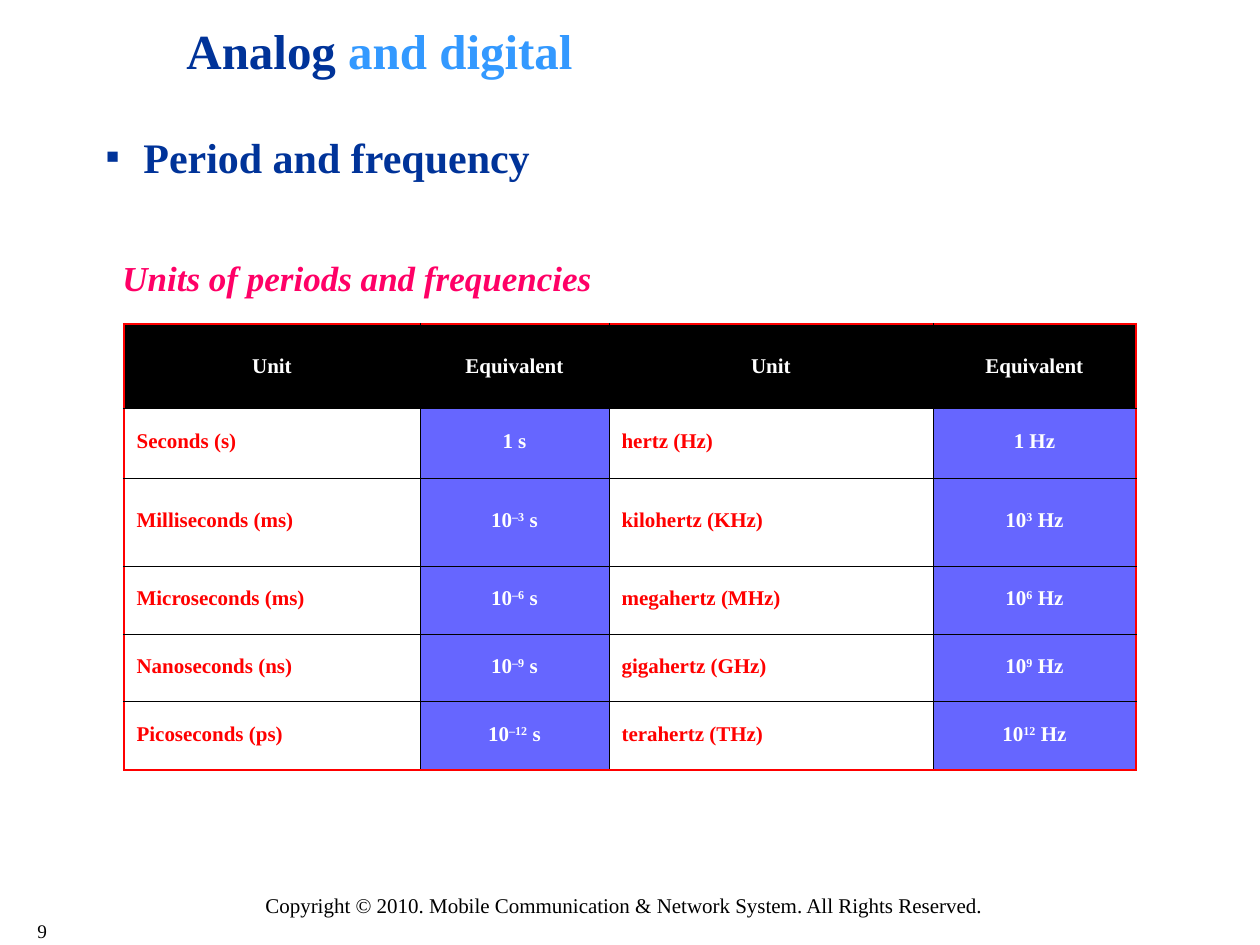
from lxml.etree import SubElement
from pptx import Presentation
from pptx.dml.color import RGBColor
from pptx.enum.text import MSO_ANCHOR as Anchor, PP_ALIGN as Align
from pptx.oxml.ns import qn
from pptx.util import Emu, Pt

NAVY = RGBColor(0x00, 0x33, 0x99)
SKY = RGBColor(0x33, 0x99, 0xFF)
PINK = RGBColor(0xFF, 0x00, 0x66)
RED = RGBColor(0xFF, 0x00, 0x00)
VIOLET = RGBColor(0x66, 0x66, 0xFF)
BLACK = RGBColor(0x00, 0x00, 0x00)
WHITE = RGBColor(0xFF, 0xFF, 0xFF)

FONT = "Times New Roman"
COLUMN_WIDTHS = [296, 189, 324, 203]
ROW_HEIGHTS = [84, 70, 88, 68, 68, 68]
UNITS = [
    ["Unit", "Equivalent", "Unit", "Equivalent"],
    ["Seconds (s)", "1 s", "hertz (Hz)", "1 Hz"],
    ["Milliseconds (ms)", "10^–3^ s", "kilohertz (KHz)", "10^3^ Hz"],
    ["Microseconds (ms)", "10^–6^ s", "megahertz (MHz)", "10^6^ Hz"],
    ["Nanoseconds (ns)", "10^–9^ s", "gigahertz (GHz)", "10^9^ Hz"],
    ["Picoseconds (ps)", "10^–12^ s", "terahertz (THz)", "10^12^ Hz"],
]


def px(length):
    """Turn pixels into EMU at 126 pixels to the inch."""
    return Emu(round(length * 914400 / 126))


def write(paragraph, text, size=12, color=BLACK, bold=False, italic=False):
    """Add text to a paragraph, raising what stands between carets."""
    for index, part in enumerate(text.split("^")):
        run = paragraph.add_run()
        run.text = part
        font = run.font
        font.name, font.size = FONT, Pt(size)
        font.bold, font.italic = bold, italic
        font.color.rgb = color
        if index % 2:
            run._r.get_or_add_rPr().set("baseline", "30000")


def add_text_box(slide, left, top, width, height, anchor=Anchor.TOP, wrap=True):
    """Add an empty text box and return its first paragraph."""
    frame = slide.shapes.add_textbox(px(left), px(top), px(width), px(height)).text_frame
    frame.word_wrap = wrap
    frame.vertical_anchor = anchor
    return frame.paragraphs[0]


def add_bullet(paragraph, indent, color):
    """Give a paragraph a half-size square bullet with a hanging indent."""
    properties = paragraph._p.get_or_add_pPr()
    properties.set("marL", str(px(indent)))
    properties.set("indent", str(-px(indent)))
    tint = SubElement(properties, qn("a:buClr"))
    SubElement(tint, qn("a:srgbClr"), val=str(color))
    SubElement(properties, qn("a:buSzPct"), val="50000")
    SubElement(properties, qn("a:buFont"), typeface=FONT)
    SubElement(properties, qn("a:buChar"), char="■")


def set_borders(cell, outer_sides):
    """Draw thick red lines on the outer sides and thin black ones elsewhere."""
    properties = cell._tc.get_or_add_tcPr()
    for side in "LRTB":
        color, width = (RED, 1.47) if side in outer_sides else (BLACK, 0.45)
        line = SubElement(properties, qn(f"a:ln{side}"), w=str(Pt(width)))
        fill = SubElement(line, qn("a:solidFill"))
        SubElement(fill, qn("a:srgbClr"), val=str(color))


def fill_cell(cell, text, row, column):
    """Style one cell by its place in the table and write its text."""
    last_row, last_column = len(UNITS) - 1, len(COLUMN_WIDTHS) - 1
    edges = {"L": column == 0, "R": column == last_column, "T": row == 0, "B": row == last_row}
    set_borders(cell, [side for side, is_outer in edges.items() if is_outer])
    is_header, is_value = row == 0, column % 2 == 1
    cell.fill.solid()
    cell.fill.fore_color.rgb = BLACK if is_header else VIOLET if is_value else WHITE
    cell.vertical_anchor = Anchor.MIDDLE
    paragraph = cell.text_frame.paragraphs[0]
    paragraph.alignment = Align.CENTER if is_header or is_value else Align.LEFT
    if not is_header:
        paragraph.line_spacing = 0.8
    write(paragraph, text, color=WHITE if is_header or is_value else RED, bold=True)


def add_units_table(slide, left, top):
    """Add the table of period and frequency units."""
    table = slide.shapes.add_table(
        len(UNITS), len(COLUMN_WIDTHS), px(left), px(top),
        px(sum(COLUMN_WIDTHS)), px(sum(ROW_HEIGHTS))).table
    table.horz_banding = False
    for column, width in zip(table.columns, COLUMN_WIDTHS):
        column.width = px(width)
    for row, height in zip(table.rows, ROW_HEIGHTS):
        row.height = px(height)
    for row, texts in enumerate(UNITS):
        for column, text in enumerate(texts):
            fill_cell(table.cell(row, column), text, row, column)


def main():
    """Build the slide and save it."""
    deck = Presentation()
    deck.slide_width, deck.slide_height = px(1260), px(945)
    slide = deck.slides.add_slide(deck.slide_layouts[6])

    write(add_text_box(slide, 25, 913, 48, 35), "9", size=11)
    write(add_text_box(slide, 253, 886, 804, 38),
          "Copyright © 2010. Mobile Communication & Network System. All Rights Reserved.")

    title = add_text_box(slide, 174, 17, 903, 66, anchor=Anchor.MIDDLE)
    write(title, "Analog", size=28, color=NAVY, bold=True)
    write(title, " and digital", size=28, color=SKY, bold=True)

    topic = add_text_box(slide, 94, 125, 1091, 724)
    add_bullet(topic, 37, NAVY)
    write(topic, "Period and frequency", size=24, color=NAVY, bold=True)

    add_units_table(slide, 124, 324)
    caption = add_text_box(slide, 110, 250, 495, 54, wrap=False)
    write(caption, "Units of periods and frequencies", size=20, color=PINK, bold=True, italic=True)

    deck.save("out.pptx")


if __name__ == "__main__":
    main()
